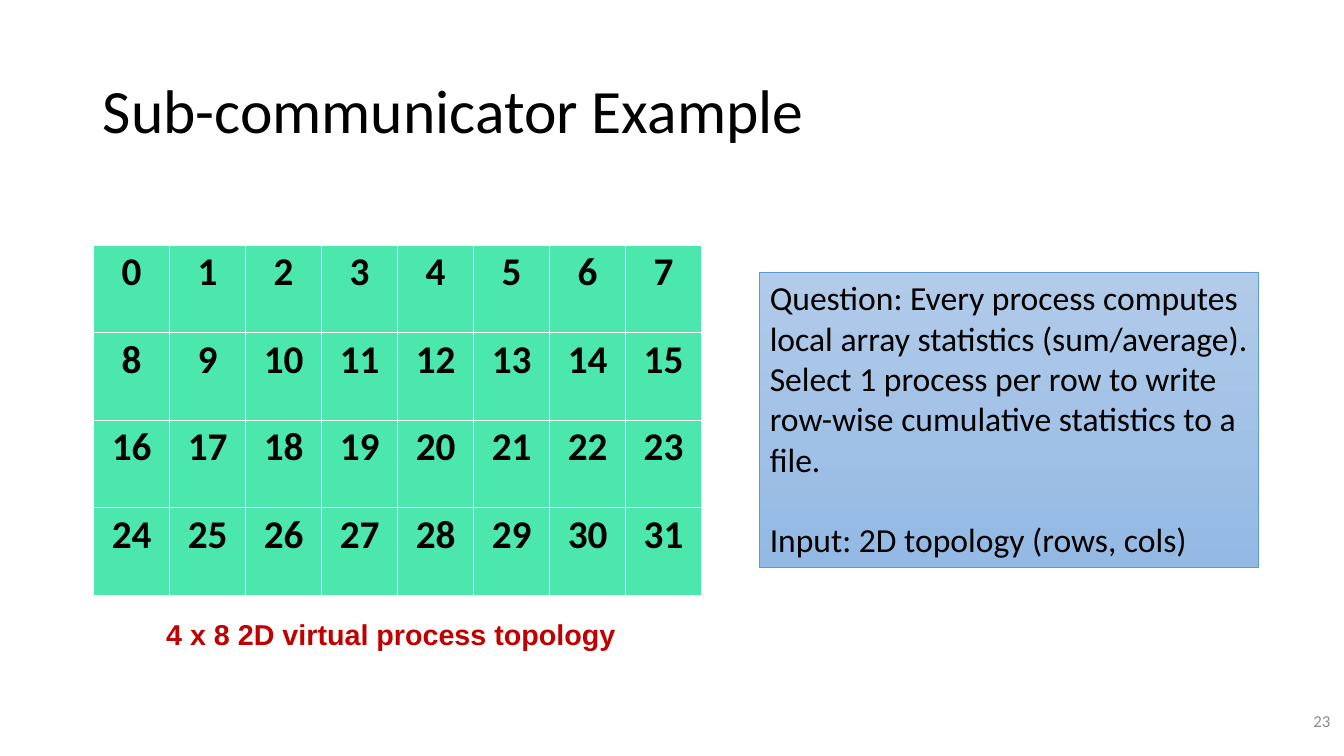
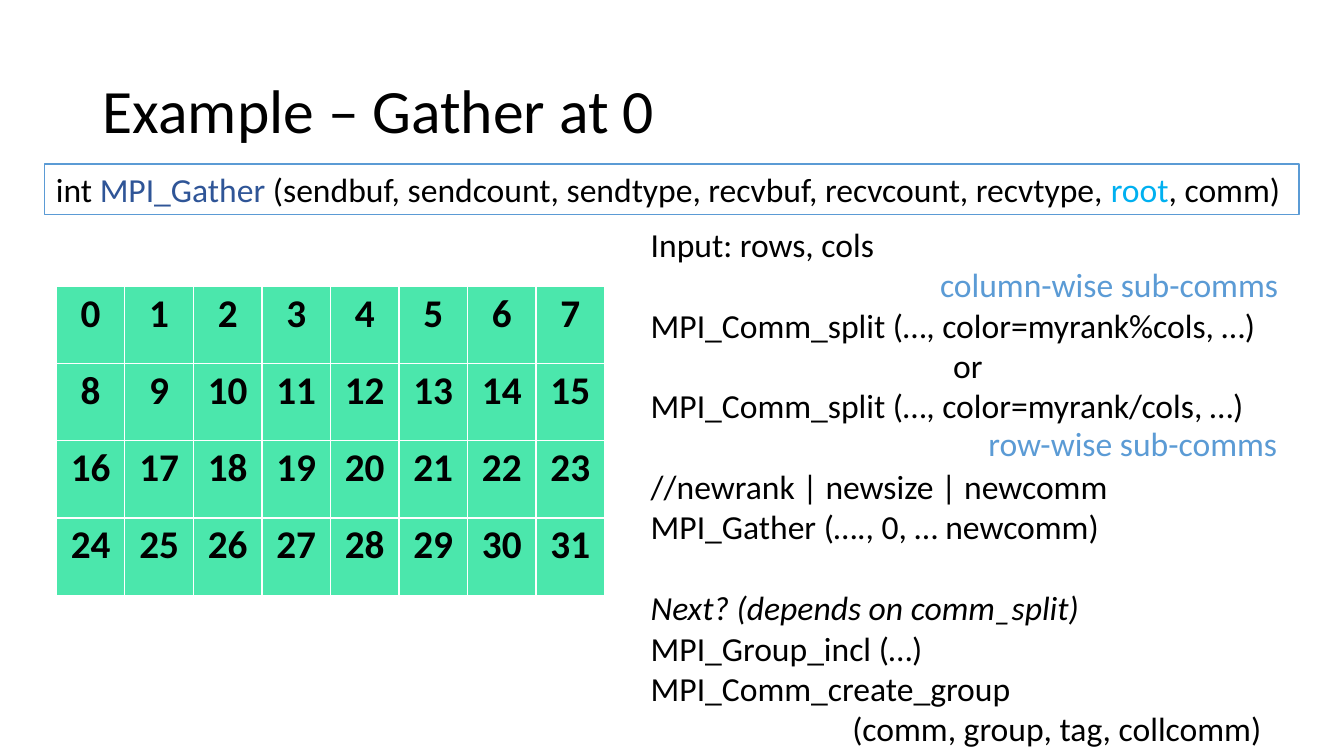
"""Build two slides on MPI sub-communicators and gathering over a process grid."""
from dataclasses import dataclass
from typing import Optional

import lxml.etree
import pptx
import pptx.dml.color
import pptx.enum.shapes
import pptx.enum.text
import pptx.oxml.ns
import pptx.util

Cm = pptx.util.Cm
Pt = pptx.util.Pt
ALIGN = pptx.enum.text.PP_ALIGN
ANCHOR = pptx.enum.text.MSO_ANCHOR

BLACK = "000000"
WHITE = "FFFFFF"
GREEN = "4BE7AC"
RED = "C00000"
GREY = "8C8C8C"
BLUE = "5B9BD5"
NAVY = "2F5597"
CYAN = "00B0F0"
GRADIENT = ("B1CBE9", "93B9E4")
LINE_GAP = 29
ROWS, COLS = 4, 8


@dataclass(frozen=True)
class Box:
    left: float
    top: float
    width: float
    height: float

    def cm(self) -> tuple:
        return tuple(Cm(v) for v in (self.left, self.top, self.width, self.height))


@dataclass(frozen=True)
class Run:
    text: str
    color: str = BLACK


@dataclass(frozen=True)
class Para:
    text: str
    before: float = 0
    indent: float = 0
    italic: bool = False


@dataclass(frozen=True)
class Label:
    text: str
    box: Box


TITLE_BOX = Box(2.34, 1.02, 29.21, 3.68)
NUMBER_BOX = Box(26.16, 17.65, 7.62, 1.02)

QUESTION = (
    Para("Question: Every process computes local array statistics (sum/average)."),
    Para("Select 1 process per row to write row-wise cumulative statistics to a file."),
    Para("Input: 2D topology (rows, cols)", before=LINE_GAP),
)
SIGNATURE = (
    Run("int "),
    Run("MPI_Gather", NAVY),
    Run(" (sendbuf, sendcount, sendtype, recvbuf, recvcount, recvtype, "),
    Run("root", CYAN),
    Run(", comm) "),
)
CODE = (
    Para("Input: rows, cols"),
    Para("MPI_Comm_split (…, color=myrank%cols, …)", before=LINE_GAP),
    Para("or", indent=7.62),
    Para("MPI_Comm_split (…, color=myrank/cols, …)"),
    Para("//newrank | newsize | newcomm", before=LINE_GAP),
    Para("MPI_Gather (…., 0, … newcomm)"),
    Para("Next? (depends on comm_split)", before=LINE_GAP, italic=True),
    Para("MPI_Group_incl (…)"),
    Para("MPI_Comm_create_group"),
    Para("(comm, group, tag, collcomm)", indent=5.08),
)
LABELS = (
    Label("column-wise sub-comms", Box(23.44, 6.53, 9.12, 1.27)),
    Label("row-wise sub-comms", Box(24.66, 10.52, 7.87, 1.27)),
)


def rgb(color: str) -> pptx.dml.color.RGBColor:
    return pptx.dml.color.RGBColor.from_string(color)


def add_run(p, text: str, *, size: float = 24, color: str = BLACK, font: str = "Calibri",
            bold: bool = False, italic: bool = False) -> None:
    r = p.add_run()
    r.text = text
    r.font.name = font
    r.font.size = Pt(size)
    r.font.bold = bold
    r.font.italic = italic
    r.font.color.rgb = rgb(color)


def add_text(slide, text: str, box: Box, *, align=ALIGN.LEFT, anchor=ANCHOR.TOP,
             spacing: Optional[float] = None, **style) -> None:
    tf = slide.shapes.add_textbox(*box.cm()).text_frame
    tf.word_wrap = True
    tf.vertical_anchor = anchor
    p = tf.paragraphs[0]
    p.alignment = align
    if spacing:
        p.line_spacing = spacing
    add_run(p, text, **style)


def add_paragraphs(tf, paras: tuple) -> None:
    tf.word_wrap = True
    for i, para in enumerate(paras):
        p = tf.add_paragraph() if i else tf.paragraphs[0]
        p.alignment = ALIGN.LEFT
        p.space_before = Pt(para.before)
        if para.indent:
            p._p.get_or_add_pPr().set("marL", str(Cm(para.indent)))
        add_run(p, para.text, italic=para.italic)


def add_panel(slide, box: Box, line_width: float):
    sp = slide.shapes.add_shape(pptx.enum.shapes.MSO_SHAPE.RECTANGLE, *box.cm())
    sp.shadow.inherit = False
    sp.line.color.rgb = rgb(BLUE)
    sp.line.width = Pt(line_width)
    sp.text_frame.word_wrap = True
    sp.text_frame.vertical_anchor = ANCHOR.TOP
    return sp


def set_borders(cell, color: str, width: float) -> None:
    qn = pptx.oxml.ns.qn
    tc_pr = cell._tc.get_or_add_tcPr()
    for i, side in enumerate(("a:lnL", "a:lnR", "a:lnT", "a:lnB")):
        ln = lxml.etree.Element(qn(side), w=str(Pt(width)))
        fill = lxml.etree.SubElement(ln, qn("a:solidFill"))
        lxml.etree.SubElement(fill, qn("a:srgbClr"), val=color)
        tc_pr.insert(i, ln)


def add_process_grid(slide, box: Box) -> None:
    table = slide.shapes.add_table(ROWS, COLS, *box.cm()).table
    table.first_row = False
    table.horz_banding = False
    for column in table.columns:
        column.width = Cm(box.width / COLS)
    for row in table.rows:
        row.height = Cm(box.height / ROWS)
    for rank, cell in enumerate(table.iter_cells()):
        cell.margin_left = cell.margin_right = Cm(0.15)
        cell.margin_top = cell.margin_bottom = Cm(0.08)
        cell.fill.solid()
        cell.fill.fore_color.rgb = rgb(GREEN)
        set_borders(cell, WHITE, 1)
        p = cell.text_frame.paragraphs[0]
        p.alignment = ALIGN.CENTER
        add_run(p, str(rank), size=28, bold=True)


def add_slide(prs, title: str):
    s = prs.slides.add_slide(prs.slide_layouts[6])
    add_text(s, title, TITLE_BOX, anchor=ANCHOR.MIDDLE, spacing=0.9, size=44)
    return s


def build_question_slide(prs) -> None:
    s = add_slide(prs, "Sub-communicator Example")
    add_process_grid(s, Box(2.36, 6.18, 15.32, 8.82))
    add_text(s, "4 x 8 2D virtual process topology", Box(3.66, 15.42, 12.4, 1.14),
             align=ALIGN.CENTER, size=20.5, font="Arial", color=RED, bold=True)
    sp = add_panel(s, Box(19.15, 6.86, 12.57, 7.44), 0.5)
    sp.fill.gradient()
    sp.fill.gradient_angle = 270
    for stop, color in zip(sp.fill.gradient_stops, GRADIENT):
        stop.color.rgb = rgb(color)
    add_paragraphs(sp.text_frame, QUESTION)
    add_text(s, "23", NUMBER_BOX, align=ALIGN.RIGHT, anchor=ANCHOR.MIDDLE,
             size=12, color=GREY)


def build_gather_slide(prs) -> None:
    s = add_slide(prs, "Example – Gather at 0")
    add_process_grid(s, Box(1.42, 7.22, 13.82, 7.78))
    code = s.shapes.add_textbox(*Box(16.15, 5.51, 16.03, 13.59).cm())
    add_paragraphs(code.text_frame, CODE)
    for label in LABELS:
        add_text(s, label.text, label.box, color=BLUE)
    sp = add_panel(s, Box(1.12, 4.13, 31.62, 1.28), 1)
    sp.fill.solid()
    sp.fill.fore_color.rgb = rgb(WHITE)
    p = sp.text_frame.paragraphs[0]
    p.alignment = ALIGN.CENTER
    for run in SIGNATURE:
        add_run(p, run.text, color=run.color)


def main() -> None:
    prs = pptx.Presentation()
    prs.slide_width = Cm(33.87)
    prs.slide_height = Cm(19.05)
    build_question_slide(prs)
    build_gather_slide(prs)
    prs.save("out.pptx")


if __name__ == "__main__":
    main()
